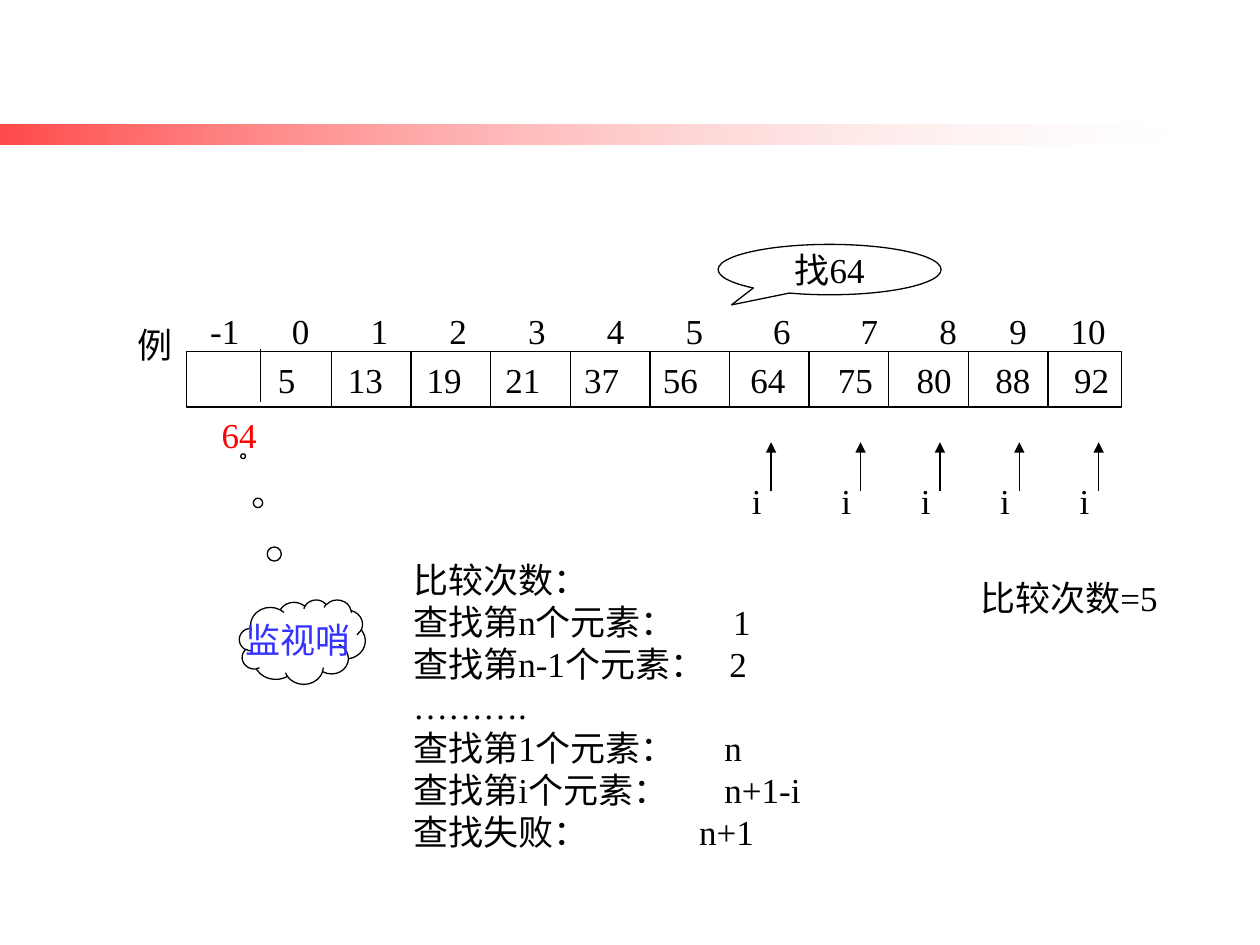
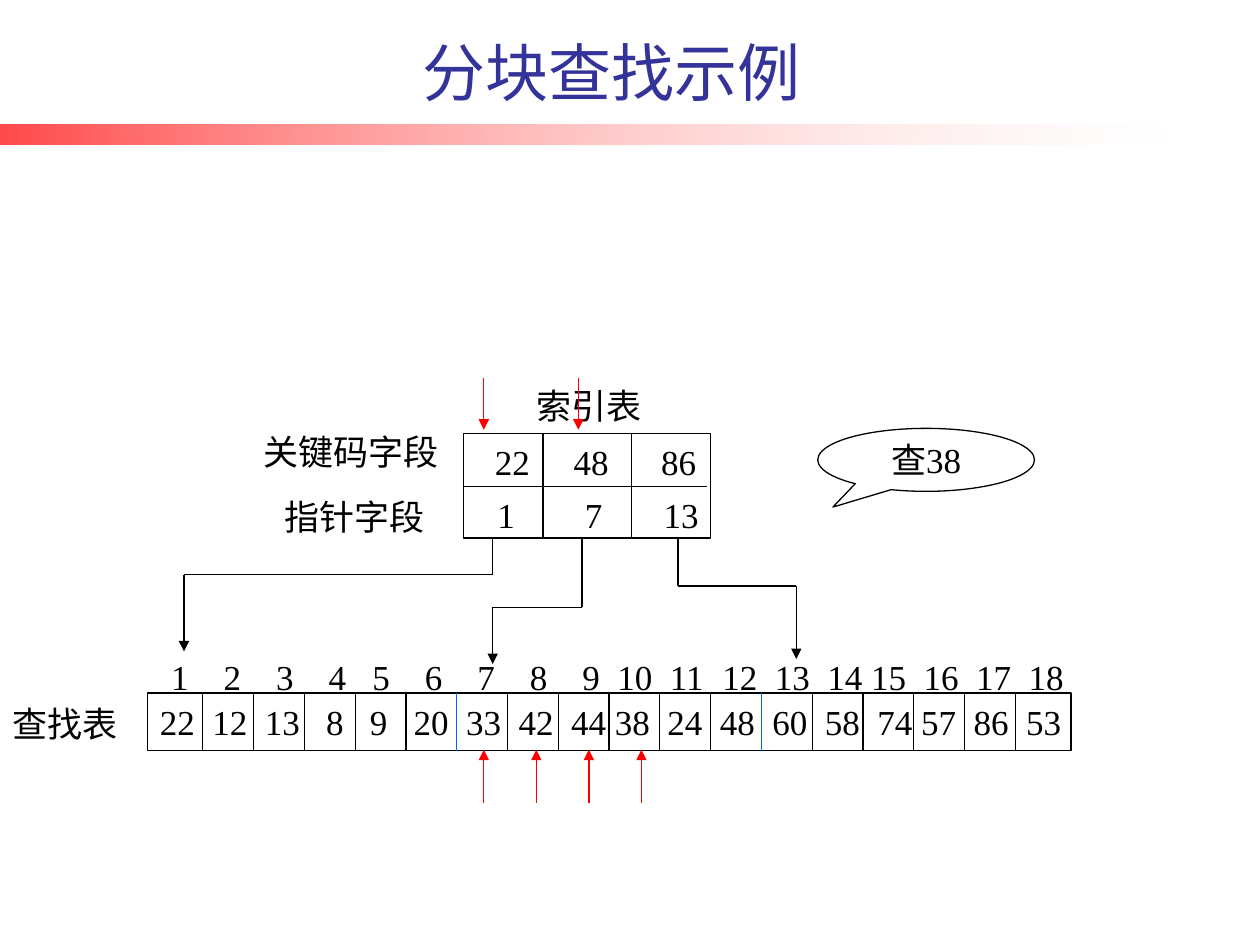
from itertools import accumulate

from lxml.etree import SubElement
from pptx import Presentation
from pptx.dml.color import RGBColor
from pptx.enum.shapes import MSO_CONNECTOR, MSO_SHAPE
from pptx.enum.text import MSO_ANCHOR, MSO_AUTO_SIZE, PP_ALIGN
from pptx.oxml.ns import qn
from pptx.util import Inches, Pt

# Shared grid and style: 100 columns by 75 rows of square cells
CELL = Inches(0.1)
COLS, ROWS = 100, 75
BLACK, RED, BLUE = "000000", "FF0000", "0066FF"
WHITE, VIOLET, NAVY = "FFFFFF", "3333FF", "333399"
SERIF, SANS = "Times New Roman", "Karla"
SIZE = 20
LINE = 4.4  # height of one line of text, in rows


def grid(*cells):
    return [round(cell * CELL) for cell in cells]


def tint(code):
    return RGBColor.from_string(code)


# Text
def write(frame, lines, size=SIZE, font=SERIF, color=BLACK, align=PP_ALIGN.LEFT,
          anchor=MSO_ANCHOR.TOP, wrap=False, grow=False, stops=(), left=1, right=1):
    """Fill a frame; stops holds a list of tab stops in EMU for each line."""
    frame.word_wrap = wrap
    frame.auto_size = MSO_AUTO_SIZE.SHAPE_TO_FIT_TEXT if grow else MSO_AUTO_SIZE.NONE
    frame.vertical_anchor = anchor
    frame.margin_left, frame.margin_right = grid(left, right)
    frame.margin_top = frame.margin_bottom = CELL // 2
    for num, line in enumerate(lines):
        para = frame.paragraphs[0] if num == 0 else frame.add_paragraph()
        para.alignment = align
        if num < len(stops) and stops[num]:
            tabs = SubElement(para._p.get_or_add_pPr(), qn("a:tabLst"))
            for stop in stops[num]:
                SubElement(tabs, qn("a:tab"), pos=str(int(stop)), algn="l")
        run = para.add_run()
        run.text = line
        run.font.size, run.font.name = Pt(size), font
        run.font.color.rgb = tint(color)


def label(slide, text, x, y, wide, color=BLACK):
    box = slide.shapes.add_textbox(*grid(x, y, wide, LINE))
    write(box.text_frame, [text], color=color, wrap=True, right=0)


def spread(frame, items, gaps, **style):
    """Set items on one line; each digit of gaps counts quarter-em spaces."""
    names = items.split()
    half = SIZE / 2  # width of a digit, in points
    steps = [half * len(name) - half / 3 * name.count("-") + half / 2 * int(gap)
             for name, gap in zip(names, gaps)]
    stops = [Pt(step) for step in accumulate(steps)]
    write(frame, ["\t".join(names)], stops=[stops], wrap=True, right=0, **style)


def digits(slide, items, gaps, x, y, wide):
    box = slide.shapes.add_textbox(*grid(x, y, wide, LINE))
    spread(box.text_frame, items, gaps)


# Shapes and lines
def outline(slide, kind, x, y, wide, high, adjust=()):
    shape = slide.shapes.add_shape(kind, *grid(x, y, wide, high))
    shape.shadow.inherit = False
    shape.fill.background()
    shape.line.color.rgb = tint(BLACK)
    shape.line.width = Pt(0.75)
    for num, value in enumerate(adjust):
        shape.adjustments[num] = value
    return shape


def bubble(slide, kind, text, place, adjust, color=BLACK):
    shape = outline(slide, kind, *place, adjust=adjust)
    write(shape.text_frame, [text], color=color, align=PP_ALIGN.CENTER,
          anchor=MSO_ANCHOR.MIDDLE)


def rule(slide, x1, y1, x2, y2, color=BLACK, arrow=False):
    line = slide.shapes.add_connector(MSO_CONNECTOR.STRAIGHT, *grid(x1, y1, x2, y2))
    line.line.color.rgb = tint(color)
    line.line.width = Pt(0.75)
    if arrow:
        SubElement(line.get_or_add_ln(), qn("a:tailEnd"), type="triangle")
    SubElement(line.element.spPr, qn("a:effectLst"))


def array(slide, items, gaps, place, first, step, count, left=1, marks=()):
    """Draw a row of cells; marks lists the dividers drawn in blue."""
    x, y, wide, high = place
    frame = outline(slide, MSO_SHAPE.RECTANGLE, *place).text_frame
    spread(frame, items, gaps, left=left, anchor=MSO_ANCHOR.MIDDLE)
    for num in range(count):
        at = first + num * step
        rule(slide, at, y, at, y + high, BLUE if num in marks else BLACK)


# Red band on the master, fading to the right
def band(deck, slide):
    bar = slide.shapes.add_shape(MSO_SHAPE.RECTANGLE, *grid(0, 9.9, 92.9, 1.6))
    bar.shadow.inherit = False
    bar.line.fill.background()
    bar.fill.gradient()
    bar.fill.gradient_angle = 180
    for stop, color, at in zip(bar.fill.gradient_stops, (WHITE, RED), (0, 1)):
        stop.color.rgb, stop.position = tint(color), at
    for node, alpha in zip(bar.element.iter(qn("a:srgbClr")), (18000, 71000)):
        SubElement(node, qn("a:alpha"), val=str(alpha))
    bar.element.nvSpPr.cNvPr.set("id", "99")
    deck.slide_master.shapes.element.insert(2, bar.element)


# Slide 1: sequential search with a sentinel
def scan(slide):
    label(slide, "例", 9.9, 25.2, 5.4)
    digits(slide, "-1 0 1 2 3 4 5 6 7 8 9 10", "67777788765", 15.7, 24.1, 73.7)
    array(slide, "5 13 19 21 37 56 64 75 80 88 92", "6555566555",
          (14.8, 27.9, 74.2, 4.4), 26.3, 6.32, 10, left=7.25)
    rule(slide, 20.7, 27.7, 20.7, 31.9)
    bubble(slide, MSO_SHAPE.OVAL_CALLOUT, "找64", (57, 19.4, 17.7, 4), (-0.44, 0.7))

    # Sentinel
    label(slide, "64", 16.6, 32.3, 4.8, RED)
    bubble(slide, MSO_SHAPE.CLOUD_CALLOUT, "监视哨", (19, 47.6, 10, 6.7),
           (-0.47, -2.2), VIOLET)

    # Moving index
    for x in (61.2, 68.3, 74.6, 80.9, 87.2):
        rule(slide, x, 39, x, 35.1, arrow=True)
        label(slide, "i", x - 2.5, 37.6, 2.7)

    # Comparison counts
    label(slide, "比较次数=5", 76.8, 45.3, 16.7)
    counts = (("比较次数：", "", 0), ("查找第n个元素：", "1", 25.4),
              ("查找第n-1个元素：", "2", 25.1), ("……….", "", 0),
              ("查找第1个元素：", "n", 24.7), ("查找第i个元素：", "n+1-i", 24.7),
              ("查找失败：", "n+1", 22.7))
    box = slide.shapes.add_textbox(*grid(31.8, 43.8, 32.8, 24.4))
    write(box.text_frame,
          [f"{case}\t{cost}" if cost else case for case, cost, at in counts],
          stops=[grid(at) if at else [] for case, cost, at in counts],
          wrap=True, right=0)


# Slide 2: block search with an index table
def block(slide):
    title = slide.shapes.title
    title.left, title.top, title.width, title.height = grid(5.9, 2.1, 85.2, 7.1)
    write(title.text_frame, ["分块查找示例"], size=36, font=SANS, color=NAVY,
          align=PP_ALIGN.CENTER, anchor=MSO_ANCHOR.BOTTOM, wrap=True)
    bubble(slide, MSO_SHAPE.OVAL_CALLOUT, "查38", (64.9, 34, 17.2, 5), (-0.43, 0.75))

    # Index table
    outline(slide, MSO_SHAPE.RECTANGLE, 36.8, 34.4, 19.6, 8.3)
    rule(slide, 36.8, 38.6, 56.1, 38.6)
    for x in (43.1, 50.1):
        rule(slide, x, 34.4, x, 42.7)
    digits(slide, "22 48 86", "56", 38.3, 34.5, 18)
    digits(slide, "1 7 13", "87", 38.5, 38.7, 18)
    label(slide, "索引表", 41.6, 30, 10.3)
    label(slide, "关键码字段", 19.9, 33.7, 15.9)
    label(slide, "指针字段", 21.6, 38.8, 13.1)

    # Pointers from the index to the first cell of each block
    for x, turn, end, tip in ((39.1, 45.6, 14.6, 51.7), (46.2, 48.2, 39.1, 52.7),
                              (53.8, 46.5, 63.2, 52.3)):
        rule(slide, x, 42.7, x, turn)
        rule(slide, x, turn, end, turn)
        rule(slide, end, turn, end, tip, arrow=True)

    # Search table
    label(slide, "查找表", 0, 55.3, 10.3)
    digits(slide, " ".join(str(num) for num in range(1, 19)), "44434444222221222",
           12.6, 51.5, 73)
    array(slide, "22 12 13 8 9 20 33 42 44 38 24 48 60 58 74 57 86 53",
          "22333222122222122", (11.7, 55, 73.3, 4.6), 16.1, 4.03, 17, marks=(5, 11))

    # Search steps
    for x in (38.4, 45.9):
        rule(slide, x, 30, x, 34.1, RED, arrow=True)
    for num in range(4):
        x = 38.4 + 4.17 * num
        rule(slide, x, 63.7, x, 59.5, RED, arrow=True)


def main():
    deck = Presentation()
    deck.slide_width, deck.slide_height = grid(COLS, ROWS)
    first = deck.slides.add_slide(deck.slide_layouts[6])
    band(deck, first)
    scan(first)
    block(deck.slides.add_slide(deck.slide_layouts[5]))
    deck.save("out.pptx")


if __name__ == "__main__":
    main()
